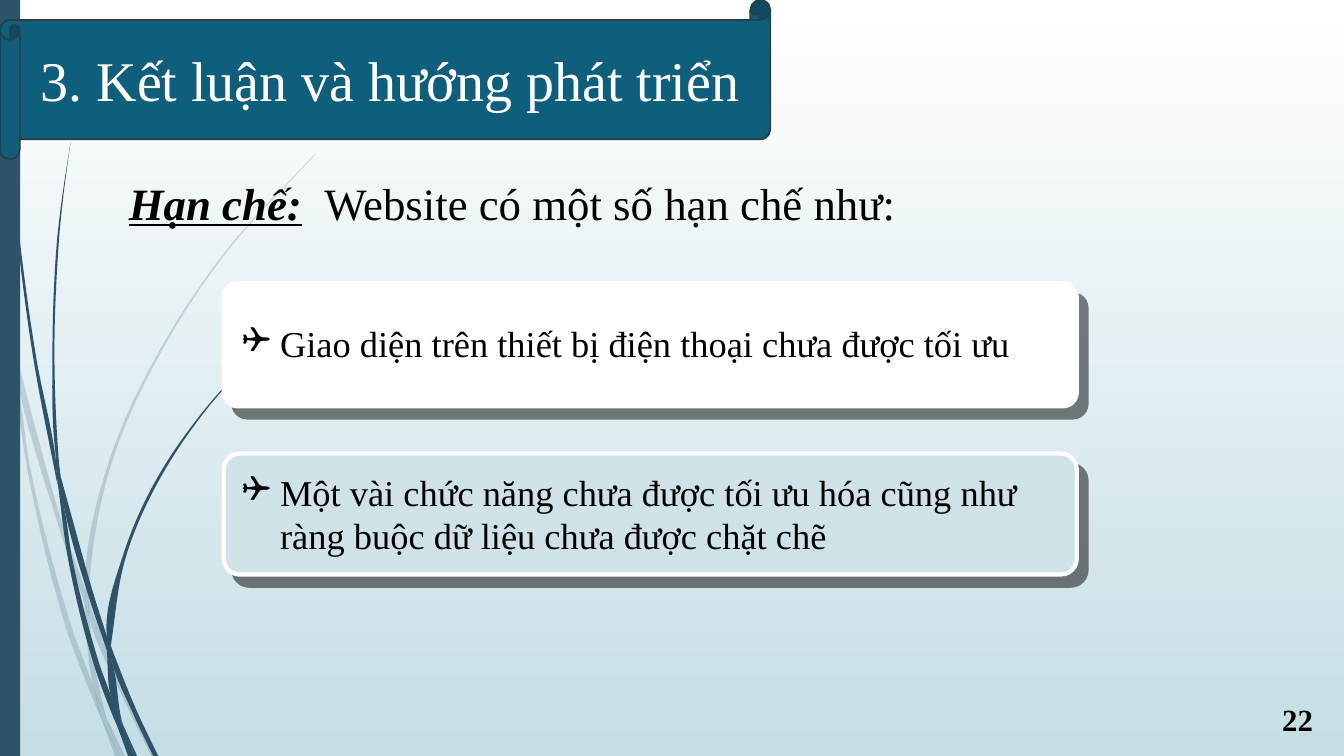
from dataclasses import dataclass

from lxml import etree
from pptx import Presentation
from pptx import util as u
from pptx.dml.color import RGBColor
from pptx.enum import shapes as kinds, text as styles
from pptx.oxml import ns


@dataclass(frozen=True)
class Theme:
    font: str = "Times New Roman"
    navy: str = "2E5369"
    teal: str = "0F5E7C"
    scroll_line: str = "254149"
    pale: str = "CFE2E7"
    sky: str = "C5DEE5"
    white: str = "FFFFFF"
    black: str = "000000"
    title: int = 40
    lead: int = 32
    body: int = 26
    number: int = 22


THEME = Theme()

# Each blade of grass has a left and a right edge, from top to bottom, in inches.
PALE_BLADES = [
    ([(0, 2.99), (0.1, 3.44), (0.11, 3.5)], [(0, 2.82), (0.09, 3.22), (0.11, 3.5)]),
    ([(0.14, 3.45), (0.17, 3.76), (0.58, 5.22), (0.84, 5.99)], [(0.14, 3.45), (0.62, 5.2), (0.85, 5.86)]),
    ([(0.88, 5.96), (0.88, 6.1), (1.23, 6.94), (1.5, 7.5)],
     [(0.88, 5.96), (0.92, 6.07), (1.27, 6.92), (1.55, 7.5)]),
    ([(1.05, 7.11), (1.19, 7.5)], [(1.05, 7.11), (1.24, 7.5)]),
    ([(0.11, 3.5), (0.28, 4.7), (0.65, 6.21), (0.92, 6.93), (1.01, 7.14)],
     [(0.11, 3.5), (0.17, 3.76), (0.31, 4.69), (0.7, 6.19), (0.93, 6.83), (1.01, 7.14)]),
    ([(0.84, 5.99), (0.87, 6.46), (0.93, 6.83), (1.05, 7.11)],
     [(0.84, 5.99), (0.88, 6.1), (0.91, 6.46), (1.05, 7.11)]),
    ([(3.12, 1.53), (2.28, 2.44), (1.58, 3.48), (1.07, 4.61), (0.85, 5.84), (0.88, 5.96)],
     [(3.12, 1.54), (2.29, 2.45), (1.6, 3.49), (1.1, 4.62), (0.88, 5.84), (0.88, 5.96)]),
    ([(1.01, 7.14), (1.14, 7.5)], [(1.01, 7.14), (1.19, 7.5)]),
    ([(0.85, 5.86), (0.84, 5.99), (0.88, 6.1)], [(0.85, 5.86), (0.88, 5.96), (0.88, 6.1)]),
    ([(0.93, 6.83), (1.01, 7.14), (1.19, 7.5)], [(0.93, 6.83), (1.05, 7.11), (1.19, 7.5)]),
]
DARK_BLADES = [
    ([(0.03, 0), (0.07, 1.1), (0.17, 2.33), (0.33, 3.55), (0.57, 4.81)],
     [(0.04, 0), (0.08, 1.09), (0.19, 2.32), (0.36, 3.55), (0.55, 4.53), (0.57, 4.81)]),
    ([(0.6, 4.72), (0.64, 5.05), (0.88, 5.92), (1.06, 6.45)], [(0.6, 4.72), (0.93, 5.9), (1.06, 6.31)]),
    ([(1.1, 6.41), (1.11, 6.56), (1.32, 7.08), (1.52, 7.5)],
     [(1.1, 6.41), (1.13, 6.49), (1.36, 7.06), (1.57, 7.5)]),
    ([(0.57, 4.77), (0.68, 5.57), (0.93, 6.59), (1.11, 7.08), (1.17, 7.22)],
     [(0.57, 4.77), (0.64, 5.05), (0.72, 5.56), (0.98, 6.57), (1.1, 6.91), (1.17, 7.22)]),
    ([(0.7, 1.41), (0.62, 1.93), (0.56, 2.45), (0.52, 3.49), (0.55, 4.49), (0.6, 4.72)],
     [(0.7, 1.41), (0.63, 1.93), (0.58, 2.45), (0.54, 3.49), (0.58, 4.53), (0.6, 4.72)]),
    ([(1.22, 7.19), (1.33, 7.5)], [(1.22, 7.19), (1.36, 7.5)]),
    ([(0.55, 4.49), (0.57, 4.77), (0.64, 5.05)], [(0.55, 4.49), (0.6, 4.72), (0.64, 5.05)]),
    ([(2.6, 3.44), (2.04, 4.05), (1.56, 4.74), (1.22, 5.51), (1.06, 6.31), (1.1, 6.41)],
     [(2.61, 3.44), (2.05, 4.06), (1.58, 4.76), (1.25, 5.52), (1.11, 6.33), (1.1, 6.41)]),
    ([(1.17, 7.22), (1.27, 7.5)], [(1.17, 7.22), (1.31, 7.5)]),
    ([(1.06, 6.45), (1.1, 6.91), (1.22, 7.19)], [(1.06, 6.45), (1.11, 6.56), (1.21, 7.16), (1.22, 7.19)]),
    ([(1.06, 6.31), (1.06, 6.45), (1.11, 6.56)], [(1.06, 6.31), (1.1, 6.41), (1.11, 6.56)]),
    ([(1.1, 6.91), (1.17, 7.22), (1.3, 7.5)], [(1.1, 6.91), (1.22, 7.19), (1.33, 7.5)]),
]


def rgb(color):
    return RGBColor.from_string(color)


def sub(parent, tag, **attributes):
    return etree.SubElement(parent, ns.qn(tag), attributes)


def area(left, top, width, height):
    return [u.Inches(value) for value in (left, top, width, height)]


def paint(shape, fill, line=None, width=0):
    shape.shadow.inherit = False
    shape.fill.solid()
    shape.fill.fore_color.rgb = rgb(fill)
    if line:
        shape.line.color.rgb = rgb(line)
        shape.line.width = u.Pt(width)
    else:
        shape.line.fill.background()


def style(span, size, color, bold=False):
    span.font.name = THEME.font
    span.font.size = u.Pt(size)
    span.font.color.rgb = rgb(color)
    span.font.bold = bold


def bezier_segments(edge):
    """Return two handles and an end point for each smooth step down an edge."""
    rates = [(c - a) / (d - b) for (a, b), (c, d) in zip(edge, edge[1:])]
    slopes = [rates[0], *((a + b) / 2 for a, b in zip(rates, rates[1:])), rates[-1]]
    segments = []
    for (x, y), (end_x, end_y), slope, end_slope in zip(edge, edge[1:], slopes, slopes[1:]):
        third = (end_y - y) / 3
        segments.append([(x + slope * third, y + third),
                         (end_x - end_slope * third, end_y - third), (end_x, end_y)])
    return segments


def add_blade(page, left, right, opacity):
    points = [(u.Inches(x), u.Inches(y)) for x, y in left + right[::-1]]
    builder = page.shapes.build_freeform(*points[0])
    builder.add_line_segments(points[1:], close=True)
    blade = builder.convert_to_shape()
    paint(blade, THEME.navy)
    rising = [[second, first, start[0]] for (first, second, _), start in
              zip(bezier_segments(right), zip(right))][::-1]
    lines = list(blade._element.iter(ns.qn("a:lnTo")))
    bends = bezier_segments(left) + [None] + rising
    for line, bend in zip(lines, bends):
        if bend:
            curve = etree.Element(ns.qn("a:cubicBezTo"))
            for x, y in bend:
                sub(curve, "a:pt", x=str(u.Inches(x) - blade.left), y=str(u.Inches(y) - blade.top))
            line.getparent().replace(line, curve)
    color = blade._element.spPr.find(".//" + ns.qn("a:srgbClr"))
    sub(color, "a:alpha", val=str(opacity * 1000))


def add_background(page):
    fill = page.background.fill
    fill.gradient()
    fill.gradient_angle = 270
    for stop, position, color in zip(fill.gradient_stops, (0, 1), (THEME.white, THEME.sky)):
        stop.position = position
        stop.color.rgb = rgb(color)


def add_title(page, words):
    scroll = page.shapes.add_shape(kinds.MSO_SHAPE.HORIZONTAL_SCROLL, *area(0, 0, 7.64, 1.58))
    paint(scroll, THEME.teal, THEME.scroll_line, 1.25)
    title = page.shapes.title
    title.left, title.top, title.width, title.height = area(0.21, 0.19, 7.32, 1.18)
    page.shapes._spTree.append(title._element)  # bring in front of the scroll
    frame = title.text_frame
    frame.text = words
    frame.auto_size = styles.MSO_AUTO_SIZE.NONE
    frame.vertical_anchor = styles.MSO_ANCHOR.MIDDLE
    frame.paragraphs[0].alignment = styles.PP_ALIGN.CENTER
    style(frame.paragraphs[0].runs[0], THEME.title, THEME.white)


def add_text(page, place, words, size, bold=False):
    box = page.shapes.add_textbox(*area(*place))
    box.text_frame.word_wrap = True
    para = box.text_frame.paragraphs[0]
    para.text = words
    style(para.runs[0], size, THEME.black, bold)
    return para


def add_lead(page, label, words):
    para = add_text(page, (1.18, 1.69, 10.97, 1.18), label, THEME.lead, bold=True)
    tabs = sub(para._p.get_or_add_pPr(), "a:tabLst")
    sub(tabs, "a:tab", pos=str(u.Inches(1.94)), algn="l")
    para.runs[0].font.italic = para.runs[0].font.underline = True
    span = para.add_run()
    span.text = "\t" + words
    style(span, THEME.lead, THEME.black)


def add_card(page, place, corner, fill):
    card = page.shapes.add_shape(kinds.MSO_SHAPE.ROUNDED_RECTANGLE, *area(*place))
    card.adjustments[0] = corner
    paint(card, fill, THEME.white, 3)
    effects = card._element.spPr.find(ns.qn("a:effectLst"))
    shadow = sub(effects, "a:outerShdw", dist=str(u.Pt(10.6)), dir=str(49 * 60000))
    sub(sub(shadow, "a:srgbClr", val=THEME.black), "a:alpha", val="50000")


def add_bullet(page, place, words):
    props = add_text(page, place, words, THEME.body)._p.get_or_add_pPr()
    props.set("marL", str(u.Inches(0.38)))
    props.set("indent", str(u.Inches(-0.38)))
    sub(props, "a:buFont", typeface="Wingdings")
    sub(props, "a:buChar", char="❑")


def main():
    deck = Presentation()
    deck.slide_width, deck.slide_height = u.Inches(13.33), u.Inches(7.5)
    page = deck.slides.add_slide(deck.slide_layouts.get_by_name("Title Only"))
    add_background(page)
    for blades, opacity in ((PALE_BLADES, 20), (DARK_BLADES, 100)):
        for left, right in blades:
            add_blade(page, left, right, opacity)
    side_bar = page.shapes.add_shape(kinds.MSO_SHAPE.RECTANGLE, *area(0, 0, 0.2, 7.5))
    paint(side_bar, THEME.navy)
    add_lead(page, "Hạn chế:", "Website có một số hạn chế như:")
    add_card(page, (2.22, 2.81, 8.46, 1.22), 0.11, THEME.white)
    add_bullet(page, (2.3, 3.14, 8.38, 0.54), "Giao diện trên thiết bị điện thoại chưa được tối ưu")
    add_card(page, (2.22, 4.5, 8.46, 1.2), 0.13, THEME.pale)
    add_bullet(page, (2.3, 4.61, 7.94, 0.98),
               "Một vài chức năng chưa được tối ưu hóa cũng như ràng buộc dữ liệu chưa được chặt chẽ")
    number = add_text(page, (12.6, 6.9, 0.54, 0.47), "22", THEME.number, bold=True)
    number.alignment = styles.PP_ALIGN.CENTER
    add_title(page, "3. Kết luận và hướng phát triển")
    deck.save("out.pptx")


if __name__ == "__main__":
    main()
